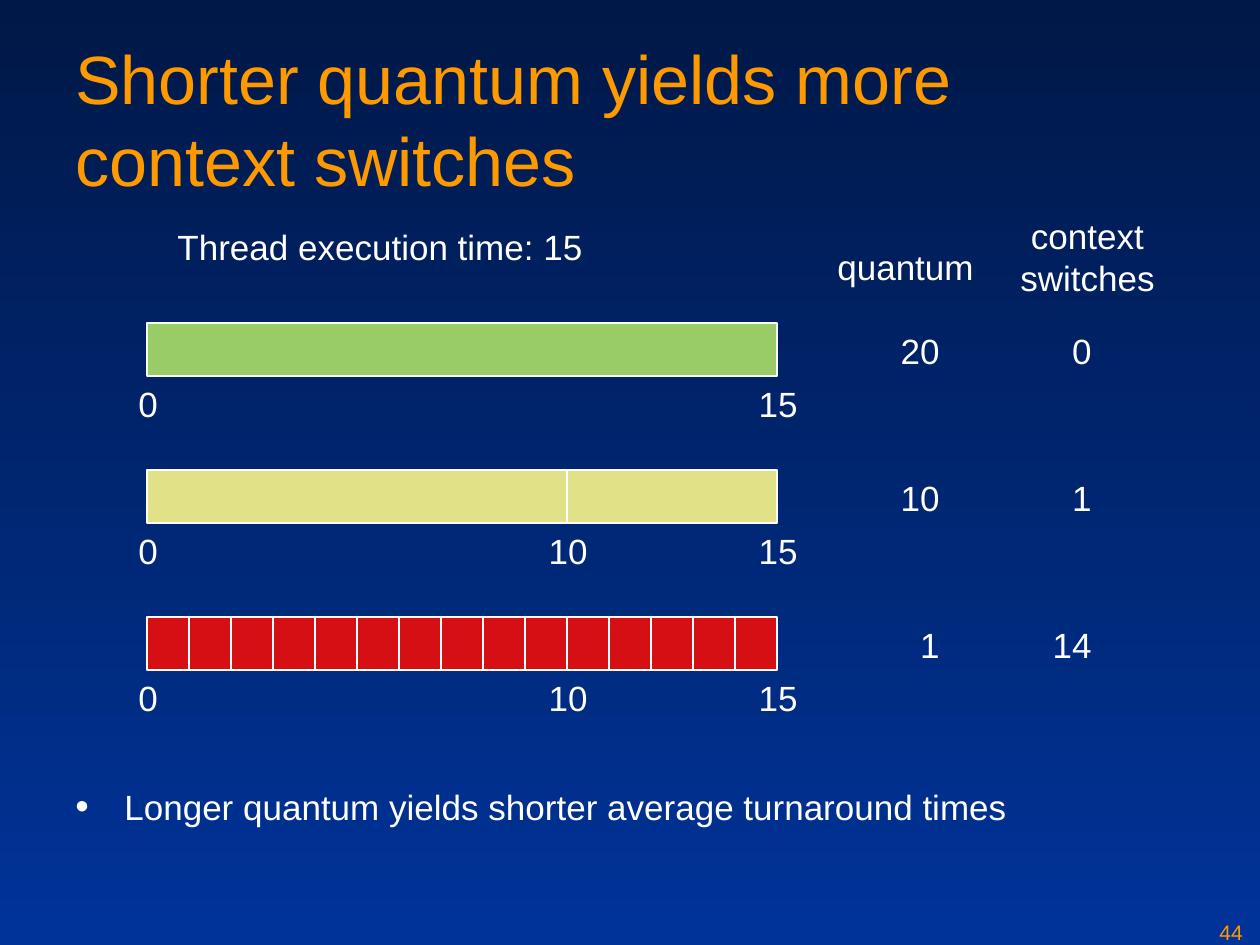
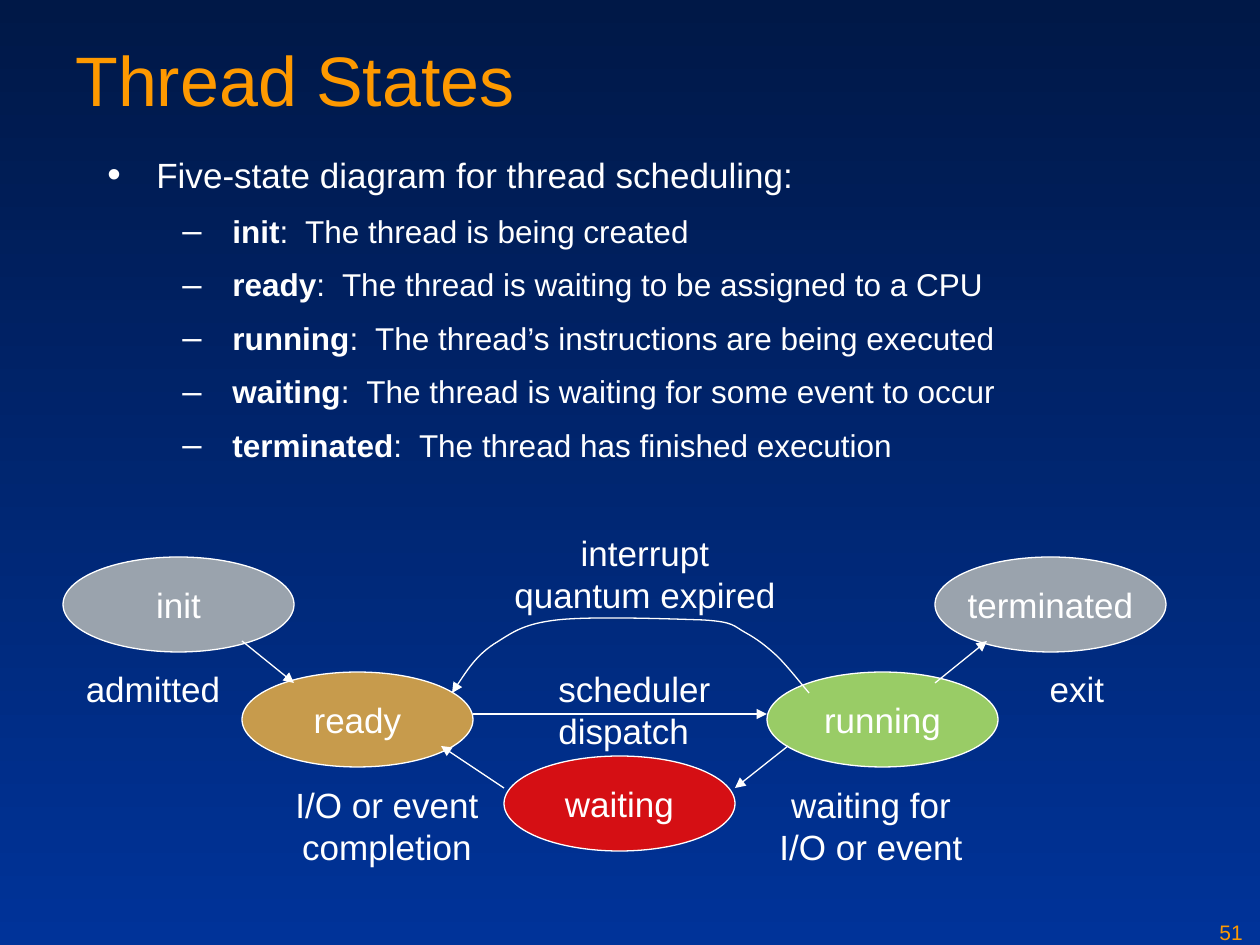
from lxml.etree import SubElement
from pptx import Presentation
from pptx.dml.color import RGBColor
from pptx.enum.shapes import MSO_CONNECTOR, MSO_SHAPE
from pptx.enum.text import MSO_ANCHOR, PP_ALIGN
from pptx.oxml.ns import qn
from pptx.util import Pt

SCALE = 914400 / 126
WHITE, ORANGE, GREEN = "FFFFFF", "FE9900", "99CC66"
YELLOW, RED, GRAY, TAN = "E1E187", "D50F14", "9AA3AD", "C79B4C"
LEFT, CENTER, RIGHT = PP_ALIGN.LEFT, PP_ALIGN.CENTER, PP_ALIGN.RIGHT


def px(*lengths):
    return [round(length * SCALE) for length in lengths]


def write(shape, text, align=LEFT, size=20, color=WHITE, wrap=False):
    shape.text_frame.word_wrap = wrap
    paragraph = shape.text_frame.paragraphs[0]
    paragraph.text = text
    paragraph.alignment = align
    paragraph.font.name = "Arial"
    paragraph.font.size = Pt(size)
    paragraph.font.color.rgb = RGBColor.from_string(color)


presentation = Presentation()
presentation.slide_width, presentation.slide_height = px(1260, 945)
background = presentation.slide_master.background.fill
background.gradient()
background.gradient_angle = 270
for stop, position, color in zip(background.gradient_stops, (0, 1), ("001847", "003399")):
    stop.position = position
    stop.color.rgb = RGBColor.from_string(color)

pages = [
    ("44", "Shorter quantum yields more context switches", 39, 1134, (63, 779, 1134, 79), [
        (0, "", "Longer quantum yields shorter average turnaround times"),
    ]),
    ("51", "Thread States", 40, 985, (95, 147, 1081, 378), [
        (0, "", "Five-state diagram for thread scheduling:"),
        (1, "init", ":  The thread is being created"),
        (1, "ready", ":  The thread is waiting to be assigned to a CPU"),
        (1, "running", ":  The thread’s instructions are being executed"),
        (1, "waiting", ":  The thread is waiting for some event to occur"),
        (1, "terminated", ":  The thread has finished execution"),
    ]),
]
bullet_styles = [("•", 49, -49, 20, 5), ("–", 125, -50, 18, 4.5)]

slides = []
for number, title, title_size, title_width, body_box, items in pages:
    slide = presentation.slides.add_slide(presentation.slide_layouts[6])
    slides.append(slide)
    write(slide.shapes.add_textbox(*px(1207, 913, 53, 32)), number, size=12, color=ORANGE)
    heading = slide.shapes.add_textbox(*px(63, 30, title_width, 158))
    write(heading, title, size=title_size, color=ORANGE, wrap=True)

    frame = slide.shapes.add_textbox(*px(*body_box)).text_frame
    frame.word_wrap = True
    for index, (level, term, text) in enumerate(items):
        mark, margin, indent, size, space = bullet_styles[level]
        paragraph = frame.add_paragraph() if index else frame.paragraphs[0]
        paragraph.level = level
        properties = paragraph._p.get_or_add_pPr()
        for name, length in zip(("marL", "indent"), px(margin, indent)):
            properties.set(name, str(length))
        bullet_color = SubElement(properties, qn("a:buClr"))
        SubElement(bullet_color, qn("a:srgbClr"), val=WHITE)
        SubElement(properties, qn("a:buSzPct"), val="110000")
        SubElement(properties, qn("a:buFont"), typeface="Arial")
        SubElement(properties, qn("a:buChar"), char=mark)
        paragraph.space_before = Pt(space if index else 0)
        paragraph.space_after = Pt(space)
        paragraph.font.name = "Arial"
        paragraph.font.size = Pt(size)
        paragraph.font.color.rgb = RGBColor.from_string(WHITE)
        if term:
            run = paragraph.add_run()
            run.text = term
            run.font.bold = True
        paragraph.add_run().text = text

quantum_slide, states_slide = slides

labels = [
    (quantum_slide, "Thread execution time: 15", 165, 219, 445, 55, LEFT),
    (quantum_slide, "quantum", 825, 239, 175, 55, LEFT),
    (quantum_slide, "context\nswitches", 1000, 208, 175, 97, CENTER),
]

unit, bar_left, bar_height = 42, 147, 53
timelines = [
    (20, 0, GREEN, (0, 15)),
    (10, 1, YELLOW, (0, 10, 15)),
    (1, 14, RED, (0, 10, 15)),
]
for row, (quantum, switches, color, ticks) in enumerate(timelines):
    top = 323 + 147 * row
    for start in range(0, 15, quantum):
        length = min(quantum, 15 - start)
        bar = quantum_slide.shapes.add_shape(
            MSO_SHAPE.RECTANGLE, *px(bar_left + unit * start, top, unit * length, bar_height))
        bar.shadow.inherit = False
        bar.fill.solid()
        bar.fill.fore_color.rgb = RGBColor.from_string(color)
        bar.line.color.rgb = RGBColor.from_string(WHITE)
        bar.line.width = Pt(0.75)
    for tick in ticks:
        center = bar_left + unit * tick + 1
        labels.append((quantum_slide, str(tick), center - 35, top + 53, 70, 55, CENTER))
    for value, right in ((quantum, 952), (switches, 1104)):
        labels.append((quantum_slide, str(value), right - 70, top, 70, 55, RIGHT))

states = [
    ("init", 63, 557, GRAY),
    ("ready", 242, 672, TAN),
    ("waiting", 504, 756, RED),
    ("running", 767, 672, GREEN),
    ("terminated", 935, 557, GRAY),
]
for name, left, top, color in states:
    state = states_slide.shapes.add_shape(MSO_SHAPE.OVAL, *px(left, top, 231, 95))
    state.shadow.inherit = False
    state.fill.solid()
    state.fill.fore_color.rgb = RGBColor.from_string(color)
    state.line.color.rgb = RGBColor.from_string(WHITE)
    state.line.width = Pt(0.75)
    state.text_frame.vertical_anchor = MSO_ANCHOR.MIDDLE
    write(state, name, CENTER)

labels += [
    (states_slide, "scheduler\ndispatch", 546, 661, 190, 97, LEFT),
    (states_slide, "waiting for\nI/O or event", 761, 777, 220, 97, CENTER),
    (states_slide, "I/O or event\ncompletion", 277, 777, 220, 97, CENTER),
    (states_slide, "interrupt\nquantum expired", 495, 525, 300, 97, CENTER),
    (states_slide, "admitted", 63, 661, 180, 55, CENTER),
    (states_slide, "exit", 1027, 661, 100, 55, CENTER),
]
for slide, text, left, top, width, height, align in labels:
    write(slide.shapes.add_textbox(*px(left, top, width, height)), text, align)

transitions = [
    (473, 714, 767, 714),
    (788, 746, 735, 788),
    (504, 788, 441, 746),
    (935, 683, 987, 641),
    (242, 641, 294, 683),
]
arrows = [states_slide.shapes.add_connector(MSO_CONNECTOR.STRAIGHT, *px(*ends))
          for ends in transitions]

curve_points = [
    (798, 680), (788, 667), (777, 656), (766, 646), (757, 639), (746, 633),
    (733, 626), (735, 622), (703, 620), (672, 619), (591, 616), (557, 620),
    (522, 624), (512, 633), (494, 644), (476, 656), (464, 675), (452, 693),
]
builder = states_slide.shapes.build_freeform(809, 693, scale=SCALE)
builder.add_line_segments(curve_points, close=False)
interrupt = builder.convert_to_shape()
interrupt.fill.background()
segments = list(interrupt._element.iter(qn("a:lnTo")))
for first in range(0, len(segments), 3):
    outline = segments[first].getparent()
    bezier = SubElement(outline, qn("a:cubicBezTo"))
    for segment in segments[first:first + 3]:
        bezier.append(segment[0])
        outline.remove(segment)
arrows.append(interrupt)

for arrow in arrows:
    arrow.line.color.rgb = RGBColor.from_string(WHITE)
    arrow.line.width = Pt(0.75)
    properties = arrow._element.spPr
    SubElement(properties.find(qn("a:ln")), qn("a:tailEnd"), type="triangle")
    SubElement(properties, qn("a:effectLst"))

presentation.save("out.pptx")
